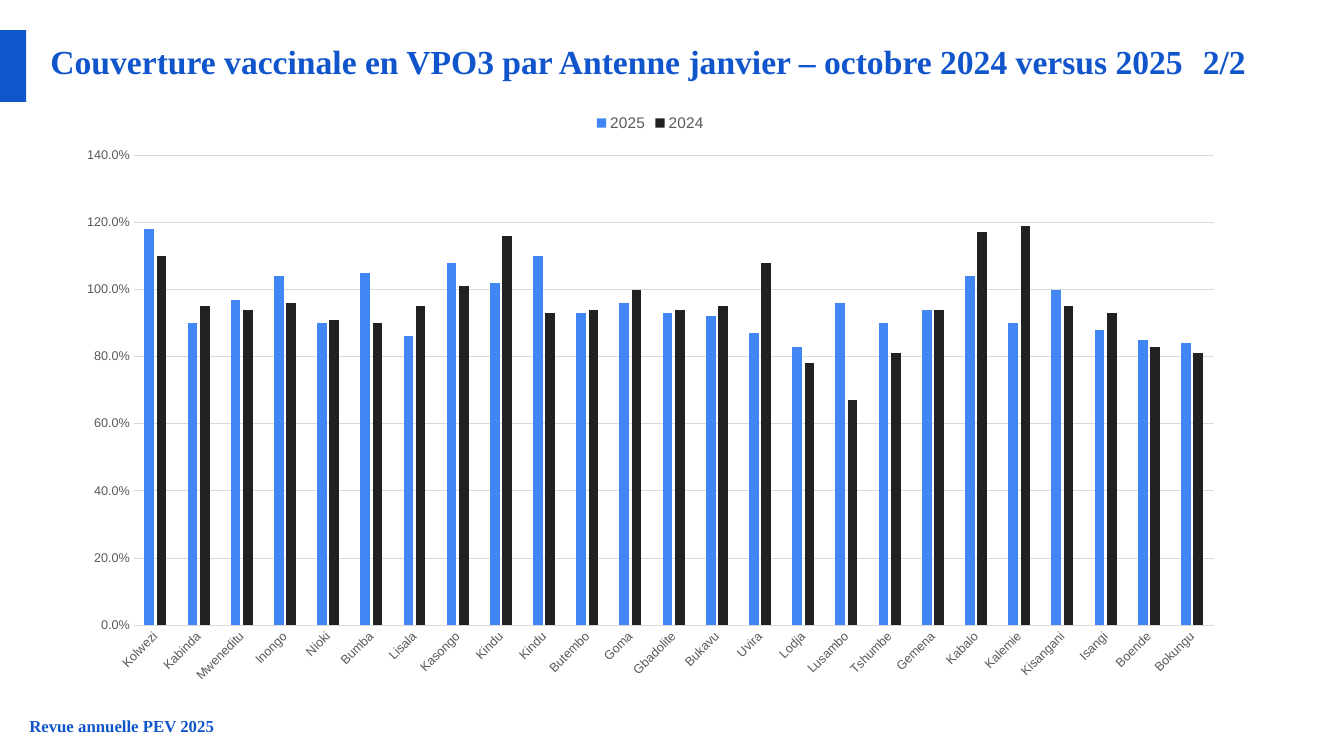
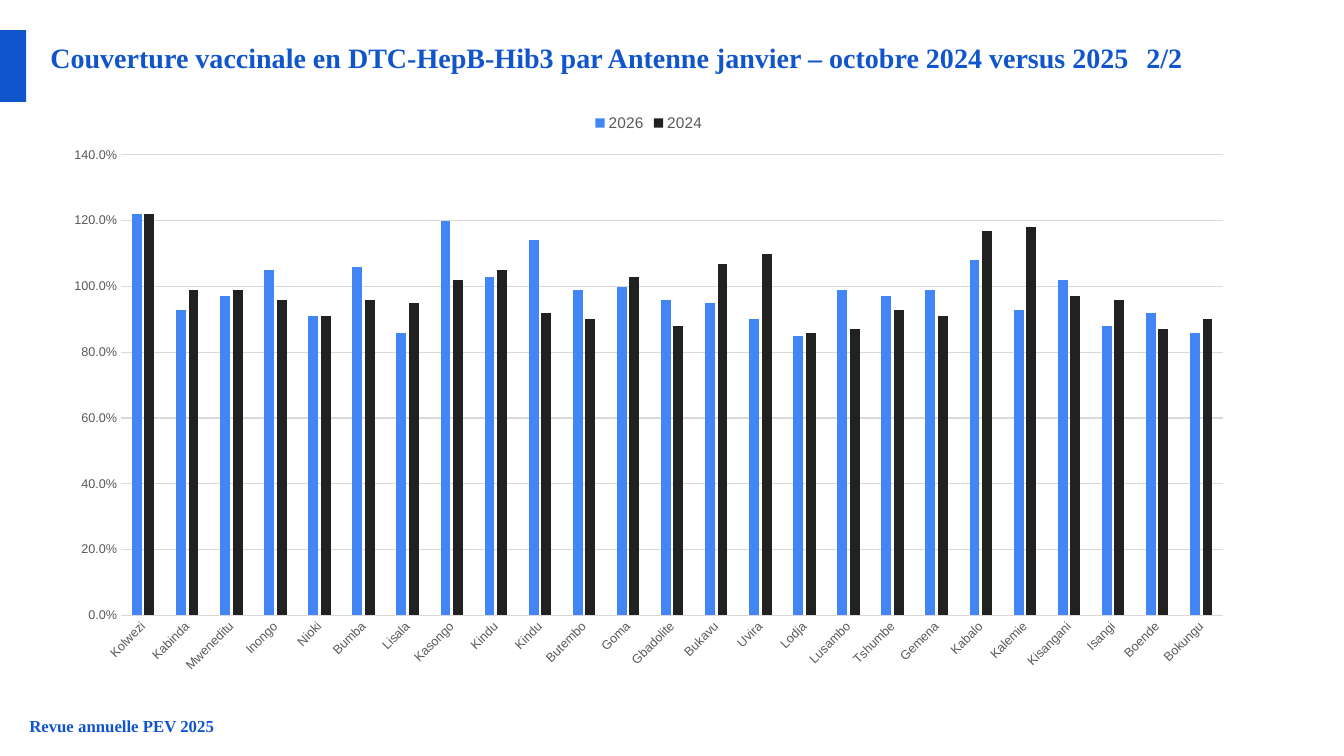
from pptx import Presentation
from pptx.chart.data import CategoryChartData as Data
from pptx.dml.color import RGBColor as RGB
from pptx.enum.chart import XL_CHART_TYPE as Kind, XL_LEGEND_POSITION as Pos
from pptx.enum.chart import XL_TICK_MARK as Tick
from pptx.enum.shapes import MSO_SHAPE as Shape
from pptx.oxml.ns import qn
from pptx.util import Inches, Pt
from lxml import etree

COLORS = {"blue": "1155CC", "gap": "0070C0", "bar": "4285F4", "dark": "212121",
          "grid": "D9D9D9", "label": "595959", "black": "000000"}
SERIF, SANS = "Times New Roman", "Arial"
TOWNS = ["Kolwezi", "Kabinda", "Mweneditu", "Inongo", "Nioki", "Bumba", "Lisala",
         "Kasongo", "Kindu", "Kindu", "Butembo", "Goma", "Gbadolite", "Bukavu",
         "Uvira", "Lodja", "Lusambo", "Tshumbe", "Gemena", "Kabalo", "Kalemie",
         "Kisangani", "Isangi", "Boende", "Bokungu"]

PAGES = [
    {"title": "Couverture vaccinale en VPO3 par Antenne janvier – octobre 2024 versus 2025",
     "size": 24, "stop": 11.43, "box": (0.63, 1.02, 11.64, 5.87),
     "series": {
         "2025": [1.18, 0.9, 0.97, 1.04, 0.9, 1.05, 0.86, 1.08, 1.02, 1.1, 0.93, 0.96, 0.93,
                  0.92, 0.87, 0.83, 0.96, 0.9, 0.94, 1.04, 0.9, 1, 0.88, 0.85, 0.84],
         "2024": [1.1, 0.95, 0.94, 0.96, 0.91, 0.9, 0.95, 1.01, 1.16, 0.93, 0.94, 1, 0.94,
                  0.95, 1.08, 0.78, 0.67, 0.81, 0.94, 1.17, 1.19, 0.95, 0.93, 0.83, 0.81]}},
    {"title": "Couverture vaccinale en DTC-HepB-Hib3 par Antenne janvier – octobre 2024 versus 2025",
     "size": 20, "stop": 10.87, "box": (0.5, 1.02, 11.87, 5.77),
     "series": {
         "2026": [1.22, 0.93, 0.97, 1.05, 0.91, 1.06, 0.86, 1.2, 1.03, 1.14, 0.99, 1, 0.96,
                  0.95, 0.9, 0.85, 0.99, 0.97, 0.99, 1.08, 0.93, 1.02, 0.88, 0.92, 0.86],
         "2024": [1.22, 0.99, 0.99, 0.96, 0.91, 0.96, 0.95, 1.02, 1.05, 0.92, 0.9, 1.03, 0.88,
                  1.07, 1.1, 0.86, 0.87, 0.93, 0.91, 1.17, 1.18, 0.97, 0.96, 0.87, 0.9]}},
]


def color(name):
    return RGB.from_string(COLORS[name])


def style(font, size, tint="label", face=SANS, bold=False):
    font.size, font.name, font.bold = Pt(size), face, bold
    font.color.rgb = color(tint)


def add_text(slide, box, runs, right=0, stop=None):
    """Write one line; runs are (text, size, colour), stop is a tab in inches."""
    frame = slide.shapes.add_textbox(*map(Inches, box)).text_frame
    frame.word_wrap = True
    frame.margin_left = frame.margin_top = frame.margin_bottom = 0
    frame.margin_right = Inches(right)
    para = frame.paragraphs[0]
    if stop:
        tabs = etree.SubElement(para._p.get_or_add_pPr(), qn("a:tabLst"))
        etree.SubElement(tabs, qn("a:tab"), pos=str(Inches(stop)), algn="l")
    for text, size, tint in runs:
        run = para.add_run()
        run.text = text
        style(run.font, size, tint, SERIF, True)


def add_frame(slide, title, size, stop):
    """Place the title, the side band and the footer."""
    runs = [(title, size, "blue"), ("\t", size + 4, "gap"), ("2/2", size, "blue")]
    add_text(slide, (0.5, 0.35, 12.33, 0.8), runs, stop=stop)
    band = slide.shapes.add_shape(Shape.RECTANGLE, *map(Inches, (0, 0.3, 0.26, 0.71)))
    band.shadow.inherit = False
    band.fill.solid()
    band.fill.fore_color.rgb = color("blue")
    band.line.fill.background()
    add_text(slide, (0.29, 7.1, 12.48, 0.2),
             [("Revue annuelle PEV 2025", 12, "blue")], right=0.13)


def draw_line(line):
    line.color.rgb = color("grid")
    line.width = Pt(0.75)


def style_axes(chart):
    towns, rates = chart.category_axis, chart.value_axis
    for axis in (towns, rates):
        axis.major_tick_mark = axis.minor_tick_mark = Tick.NONE
        style(axis.tick_labels.font, 9)
    draw_line(towns.format.line)
    body = towns._element.find(qn("c:txPr")).find(qn("a:bodyPr"))
    body.set("rot", "-2700000")
    body.set("vert", "horz")
    rates.format.line.fill.background()
    rates.minimum_scale, rates.maximum_scale, rates.major_unit = 0, 1.4, 0.2
    rates.has_major_gridlines = True
    draw_line(rates.major_gridlines.format.line)
    rates.tick_labels.number_format = "0.0%"
    rates.tick_labels.number_format_is_linked = False


def add_bars(slide, box, series):
    data = Data(number_format="0.0%")
    data.categories = TOWNS
    for name, rates in series.items():
        data.add_series(name, rates)
    chart = slide.shapes.add_chart(Kind.COLUMN_CLUSTERED, *map(Inches, box), data).chart
    style(chart.font, 10, "black")
    chart.has_title = False
    chart.has_legend = True
    chart.legend.position = Pos.TOP
    chart.legend.include_in_layout = False
    style(chart.legend.font, 11)
    style_axes(chart)
    plot = chart.plots[0]
    plot.vary_by_categories = False
    plot.gap_width, plot.overlap = 219, -27
    for bars, tint in zip(plot.series, ("bar", "dark")):
        bars.invert_if_negative = False
        bars.format.fill.solid()
        bars.format.fill.fore_color.rgb = color(tint)


def main():
    deck = Presentation()
    deck.slide_width, deck.slide_height = Inches(13.33), Inches(7.5)
    for page in PAGES:
        slide = deck.slides.add_slide(deck.slide_layouts[6])
        add_frame(slide, page["title"], page["size"], page["stop"])
        add_bars(slide, page["box"], page["series"])
    deck.save("out.pptx")


if __name__ == "__main__":
    main()
